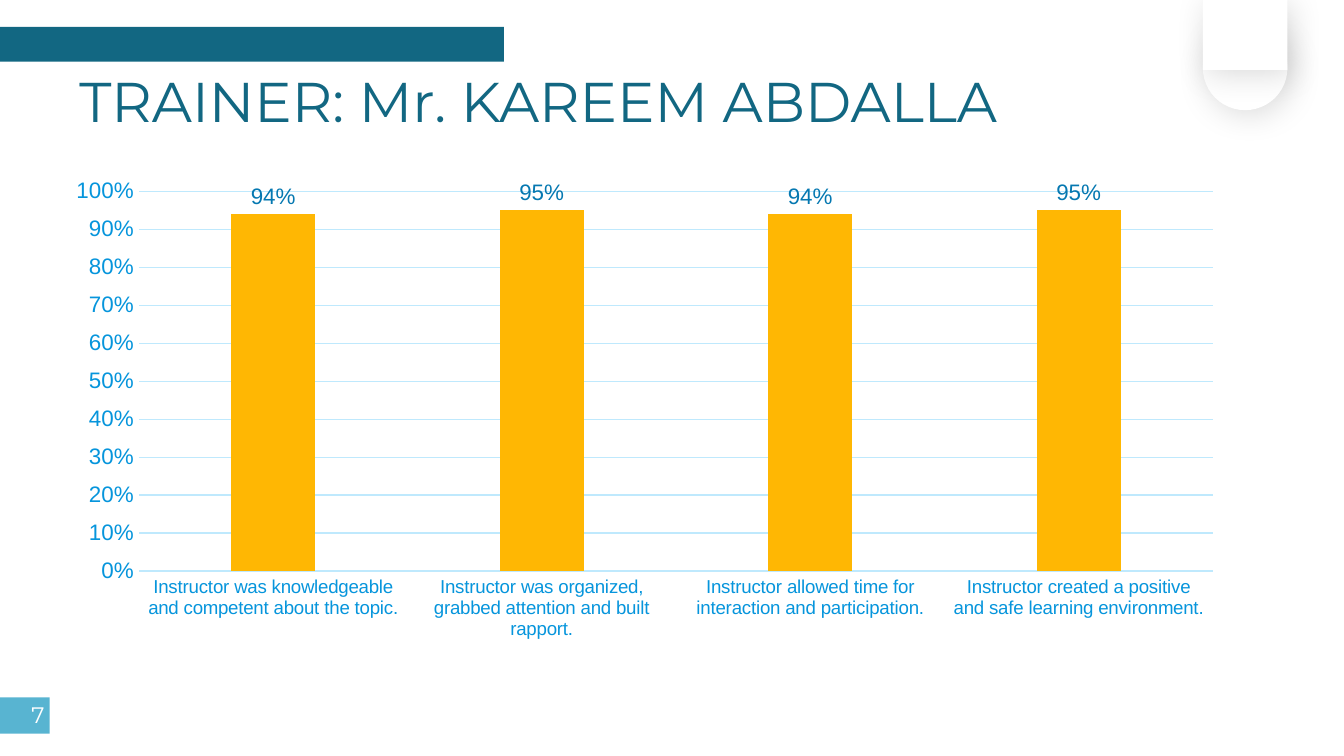
"""Build the trainer evaluation slide with a column chart of ratings."""
from lxml import etree
from pptx import Presentation
from pptx.chart.data import CategoryChartData
from pptx.dml.color import RGBColor
from pptx.enum.chart import XL_CHART_TYPE, XL_LABEL_POSITION, XL_TICK_MARK
from pptx.enum.shapes import MSO_SHAPE
from pptx.enum.text import MSO_ANCHOR, PP_ALIGN
from pptx.oxml import parse_xml
from pptx.oxml.ns import nsdecls, qn
from pptx.util import Inches, Pt

RECT, OVAL = MSO_SHAPE.RECTANGLE, MSO_SHAPE.OVAL
NO_TICK = XL_TICK_MARK.NONE

TITLE = "TRAINER: Mr. KAREEM ABDALLA"
PAGE = "7"
RATINGS = [
    ("Instructor was knowledgeable and competent about the topic.", 0.94),
    ("Instructor was organized, grabbed attention and built rapport.", 0.95),
    ("Instructor allowed time for interaction and participation.", 0.94),
    ("Instructor created a positive and safe learning environment.", 0.95),
]
COLORS = {
    "white": "FFFFFF", "teal": "126782", "light": "58B4D1", "bar": "FFB703",
    "axis": "0695DC", "grid": "BFE9FD", "value": "0578B1", "dark": "023047",
}
WIDTH = 10
HEIGHT = WIDTH * 9 / 16
TAB_LEFT, TAB_SIZE = 8.95, 0.63
PLOT = {"x": 0.093, "y": 0.038, "w": 0.88, "h": 0.656}


def rgb(name):
    return RGBColor.from_string(COLORS[name])


def box(*inches):
    return [Inches(v) for v in inches]


def set_font(font, size, color, name="Arial"):
    font.size, font.name, font.bold = Pt(size), name, False
    font.color.rgb = rgb(color)


def set_line(line, color):
    line.color.rgb = rgb(color)
    line.width = Pt(0.75)


def add_block(slide, kind, at, color):
    sp = slide.shapes.add_shape(kind, *box(*at))
    sp.shadow.inherit = False
    sp.fill.solid()
    sp.fill.fore_color.rgb = rgb(color)
    sp.line.fill.background()
    return sp


def add_shadow(sp):
    effects = sp._element.spPr.find(qn("a:effectLst"))
    effects.append(parse_xml(
        f'<a:outerShdw {nsdecls("a")} blurRad="{Pt(18)}" dist="{Pt(3)}" '
        'dir="2700000" algn="tl" rotWithShape="0"><a:srgbClr val="000000">'
        '<a:alpha val="14000"/></a:srgbClr></a:outerShdw>'))


def add_title(slide):
    title = slide.shapes.title
    title.left, title.top, title.width, title.height = box(0.59, 0.59, 8.14, 0.49)
    tf = title.text_frame
    tf.text = TITLE
    tf.margin_left = tf.margin_right = tf.margin_top = tf.margin_bottom = 0
    tf.vertical_anchor = MSO_ANCHOR.TOP
    p = tf.paragraphs[0]
    p.alignment, p.line_spacing = PP_ALIGN.LEFT, 0.8
    set_font(p.runs[0].font, 30, "teal", "Montserrat")


def add_page_number(slide):
    add_block(slide, RECT, (0, 5.19, 0.37, 0.27), "light")
    tf = slide.shapes.add_textbox(*box(-0.28, 5.17, 0.71, 0.3)).text_frame
    tf.word_wrap = True
    tf.text = PAGE
    p = tf.paragraphs[0]
    p.alignment = PP_ALIGN.RIGHT
    set_font(p.runs[0].font, 12, "white", "Montserrat")


def add_ratings_chart(slide):
    data = CategoryChartData(number_format="0%")
    data.categories = [name for name, _ in RATINGS]
    data.add_series("Series 1", [value for _, value in RATINGS])
    chart = slide.shapes.add_chart(
        XL_CHART_TYPE.COLUMN_CLUSTERED, *box(0.19, 1.26, 9.08, 4.31), data).chart
    chart.has_legend = chart.has_title = False
    set_font(chart.font, 10, "dark")

    cat, val = chart.category_axis, chart.value_axis
    for axis, size in ((cat, 10), (val, 12)):
        axis.major_tick_mark = axis.minor_tick_mark = NO_TICK
        set_font(axis.tick_labels.font, size, "axis")
    set_line(cat.format.line, "grid")
    val.format.line.fill.background()
    val.minimum_scale, val.maximum_scale, val.major_unit = 0, 1, 0.1
    val.tick_labels.number_format = "0%"
    val.tick_labels.number_format_is_linked = False
    set_line(val.major_gridlines.format.line, "grid")

    plot = chart.plots[0]
    plot.gap_width, plot.vary_by_categories = 219, False
    series = plot.series[0]
    series.format.fill.solid()
    series.format.fill.fore_color.rgb = rgb("bar")
    labels = series.data_labels
    labels.show_value = True
    labels.number_format, labels.number_format_is_linked = "0%", False
    labels.position = XL_LABEL_POSITION.OUTSIDE_END
    set_font(labels.font, 12, "value")

    area = chart._chartSpace.chart.plotArea
    for old in area.findall(qn("c:layout")):
        area.remove(old)
    layout = etree.Element(qn("c:layout"))
    manual = etree.SubElement(layout, qn("c:manualLayout"))
    settings = {"layoutTarget": "inner", "xMode": "edge", "yMode": "edge", **PLOT}
    for tag, value in settings.items():
        etree.SubElement(manual, qn(f"c:{tag}")).set("val", str(value))
    area.insert(0, layout)


def main():
    prs = Presentation()
    prs.slide_width, prs.slide_height = box(WIDTH, HEIGHT)
    slide = prs.slides.add_slide(prs.slide_layouts[5])
    for kind, top, height in ((OVAL, 0.19, TAB_SIZE), (RECT, 0, 0.52)):
        add_shadow(add_block(slide, kind, (TAB_LEFT, top, TAB_SIZE, height), "white"))
    add_page_number(slide)
    add_title(slide)
    add_block(slide, RECT, (0, 0.2, 3.75, 0.26), "teal")
    add_ratings_chart(slide)
    prs.save("out.pptx")


if __name__ == "__main__":
    main()
